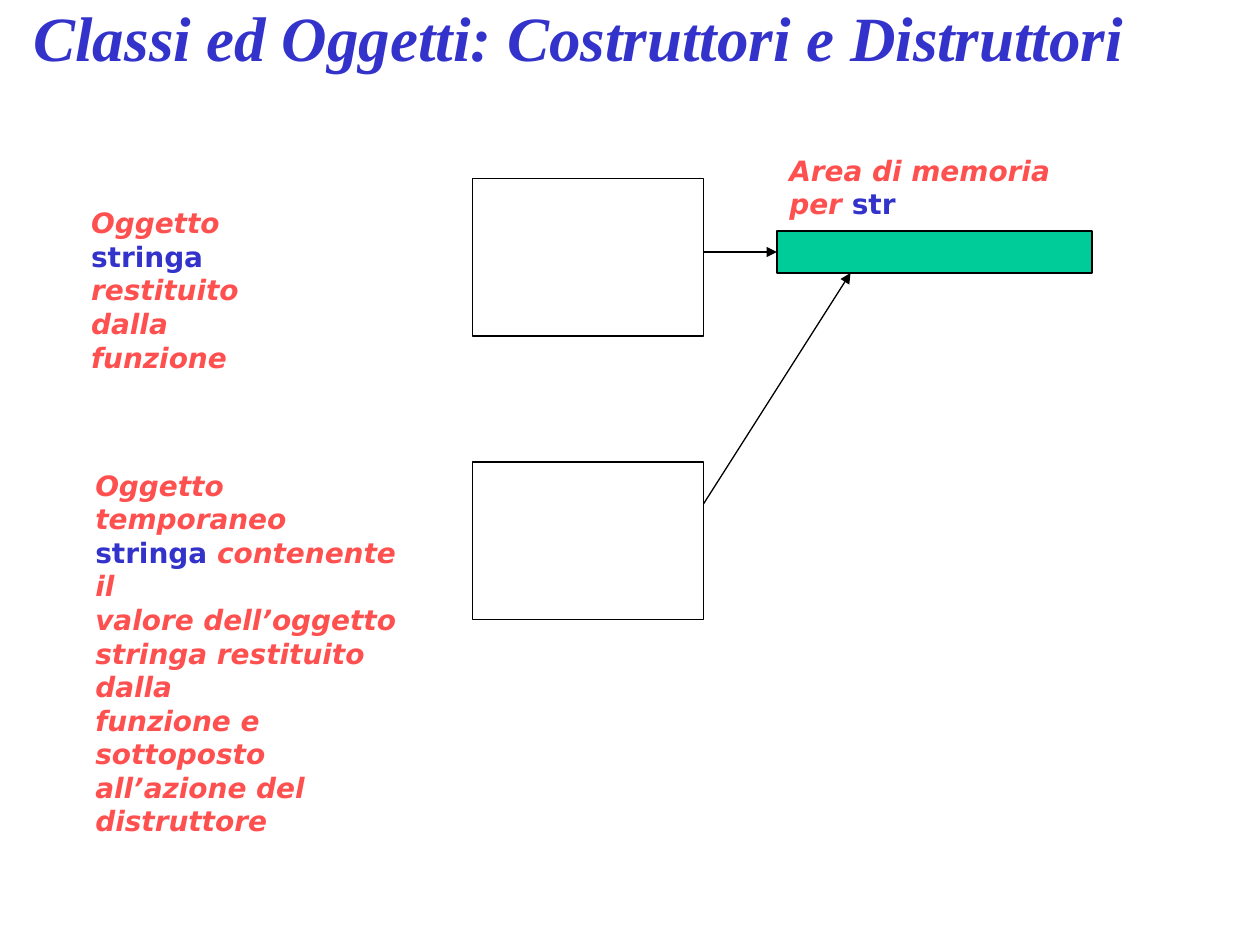
from lxml.etree import SubElement
from pptx import Presentation
from pptx.dml.color import RGBColor
from pptx.enum.shapes import MSO_CONNECTOR, MSO_SHAPE
from pptx.enum.text import MSO_ANCHOR, PP_ALIGN
from pptx.oxml.ns import qn
from pptx.util import Inches, Pt

BLUE = RGBColor(0x33, 0x33, 0xCC)
RED = RGBColor(0xFF, 0x50, 0x50)
GREEN = RGBColor(0x00, 0xCC, 0x99)
BLACK = RGBColor(0, 0, 0)

# Content: places are left, top, width, height on a grid of 12 cells per inch
CELLS = 12
TITLE = "Classi ed Oggetti: Costruttori e Distruttori"
TITLE_AT = (2, -4, 118, 15)
BOXES = {
    "returned": ((45, 17, 22, 15), None),
    "memory": ((74, 22, 30, 4), GREEN),
    "temporary": ((45, 44, 22, 15), None),
}
ARROWS = [((67, 24), (74, 24)), ((67, 48), (81, 26))]
# Each paragraph is a list of (text, is code)
LABELS = [
    ((7.5, 19, 23, 14), [
        [("Oggetto ", False), ("stringa", True)],
        [("restituito dalla", False)],
        [("funzione", False)],
    ]),
    ((7.9, 44, 33.4, 20.4), [
        [("Oggetto temporaneo", False)],
        [("stringa ", True), ("contenente il", False)],
        [("valore dell’oggetto", False)],
        [("stringa restituito dalla", False)],
        [("funzione e sottoposto", False)],
        [("all’azione del distruttore", False)],
    ]),
    ((74, 14, 31, 7), [[("Area di memoria per ", False), ("str", True)]]),
]


def grid(cells):
    return [Inches(n / CELLS) for n in cells]


def style(run, face, size, color, slant):
    font = run.font
    font.name, font.size, font.bold, font.italic = face, Pt(size), True, slant
    font.color.rgb = color


deck = Presentation()
deck.slide_width, deck.slide_height = Inches(10), Inches(7.5)
slide = deck.slides.add_slide(deck.slide_layouts[5])
shapes = slide.shapes

# Title
title = shapes.title
title.left, title.top, title.width, title.height = grid(TITLE_AT)
frame = title.text_frame
frame.text = TITLE
frame.vertical_anchor = MSO_ANCHOR.MIDDLE
head = frame.paragraphs[0]
head.alignment = PP_ALIGN.LEFT
style(head.runs[0], "Times New Roman", 36, BLUE, True)

# Objects and memory area
made = {}
for name, (place, color) in BOXES.items():
    box = made[name] = shapes.add_shape(MSO_SHAPE.RECTANGLE, *grid(place))
    box.shadow.inherit = False
    if color is None:
        box.fill.background()
    else:
        box.fill.solid()
        box.fill.fore_color.rgb = color
    box.line.color.rgb = BLACK
    box.line.width = Pt(0.75)

# Arrows to the memory area
links = []
for start, end in ARROWS:
    link = shapes.add_connector(MSO_CONNECTOR.STRAIGHT, *grid(start + end))
    link.line.color.rgb = BLACK
    link.line.width = Pt(0.75)
    SubElement(link.line._get_or_add_ln(), qn("a:tailEnd"), type="triangle")
    SubElement(link._element.spPr, qn("a:effectLst"))
    links.append(link)
links[0].end_connect(made["memory"], 1)

# Labels
for place, lines in LABELS:
    frame = shapes.add_textbox(*grid(place)).text_frame
    frame.word_wrap = True
    for i, line in enumerate(lines):
        para = frame.add_paragraph() if i else frame.paragraphs[0]
        for text, code in line:
            run = para.add_run()
            run.text = text
            style(run, "DejaVu Sans", 16, BLUE if code else RED, not code)

deck.save("out.pptx")
